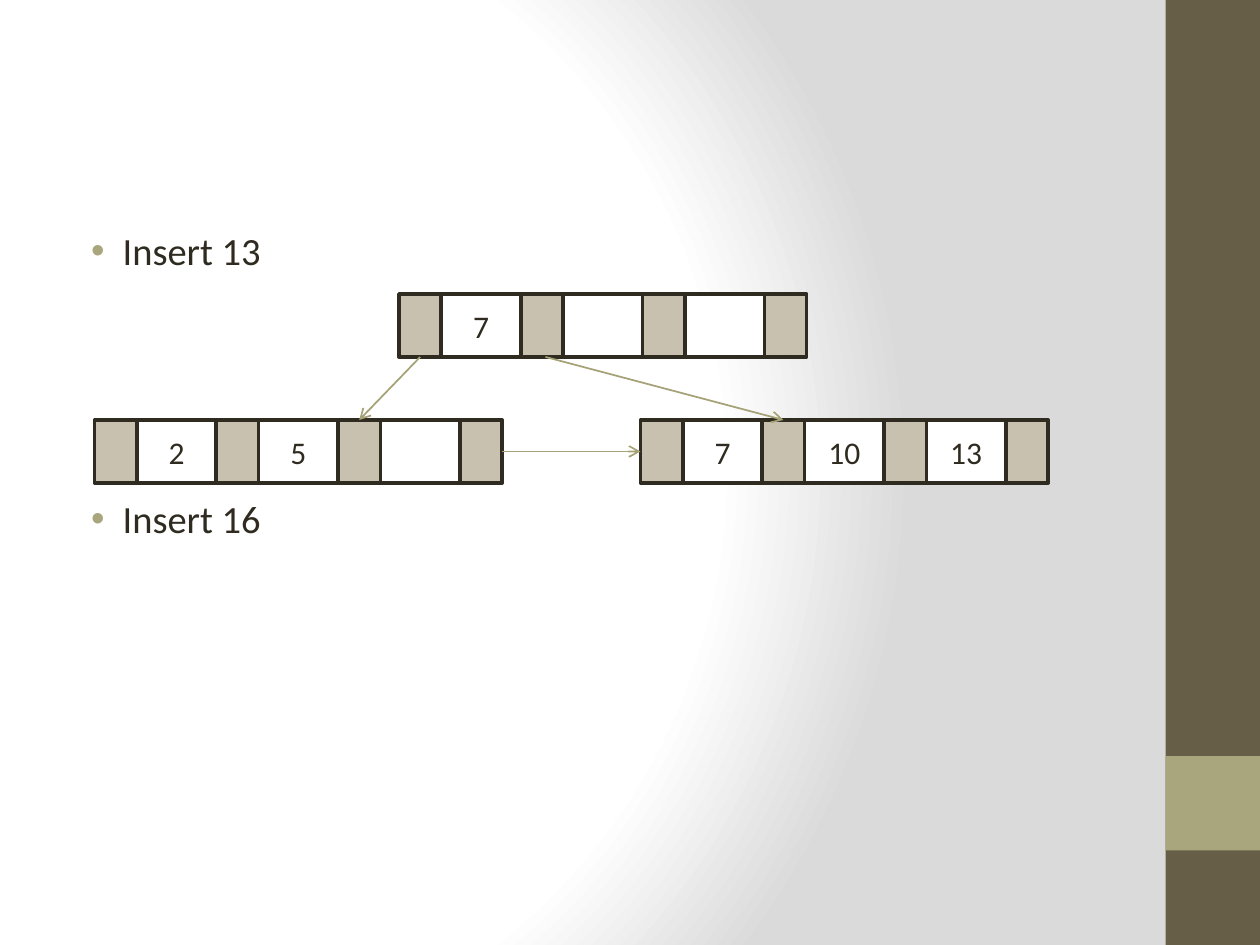
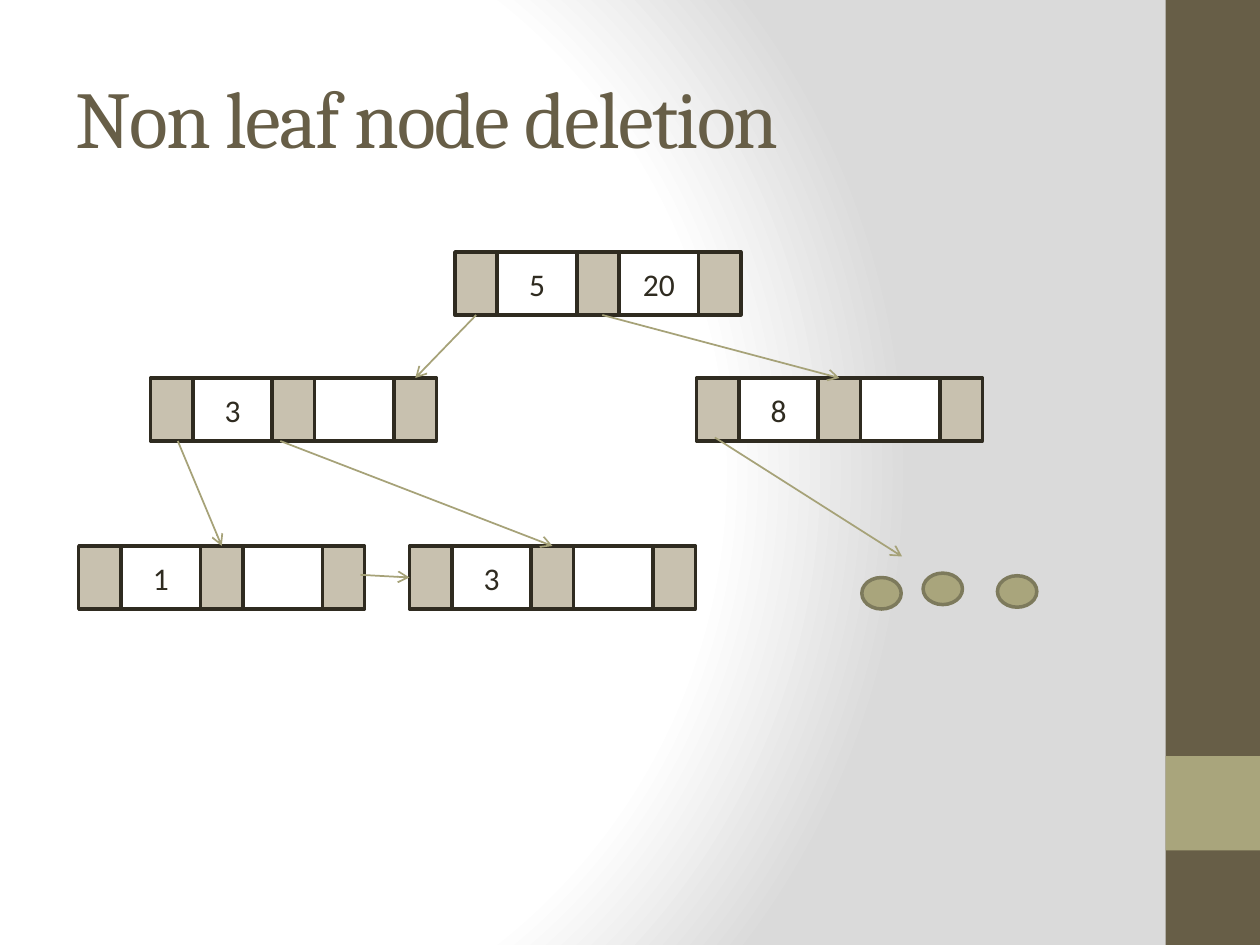
from pptx import Presentation
from pptx.dml.color import RGBColor
from pptx.enum.shapes import MSO_CONNECTOR, MSO_SHAPE
from pptx.enum.text import MSO_ANCHOR, PP_ALIGN
from pptx.oxml import parse_xml
from pptx.oxml.ns import nsdecls
from pptx.util import Pt

INK, OLIVE, SAGE, SAND = "2F2B20", "675E47", "A9A57C", "C8C1AF"
ARROW, DOT_EDGE, WHITE, GREY = "A6A278", "7D7A5C", "FFFFFF", "DADADA"

POINTER_W, KEY_W, NODE_H = 24.2, 45.4, 36
PITCH = POINTER_W + KEY_W

KEY_FONT = {"name": "Calibri", "size": Pt(18)}
BODY_FONT = {"name": "Calibri", "size": Pt(22)}
TITLE_FONT = {"name": "Cambria", "size": Pt(46)}


def rgb(color):
    return RGBColor.from_string(color)


def apply(obj, values):
    for name, value in values.items():
        setattr(obj, name, value)


def a_xml(tag, attrs="", body=""):
    """Build one element in the drawing namespace."""
    return parse_xml(f"<a:{tag} {nsdecls('a')} {attrs}>{body}</a:{tag}>")


class Deck:
    """Holds the presentation, its style and the slide being filled."""

    def __init__(self):
        self.prs = Presentation()
        self.prs.slide_width, self.prs.slide_height = Pt(720), Pt(540)
        self.s = None

    def slide(self):
        self.s = self.prs.slides.add_slide(self.prs.slide_layouts[6])
        self.background()
        self.shape(666, 0, 54, 540, OLIVE)
        self.shape(666, 432, 54, 54, SAGE)

    def background(self):
        stops = "".join(
            f'<a:gs pos="{pos * 1000}"><a:srgbClr val="{color}"/></a:gs>'
            for pos, color in ((0, WHITE), (75, WHITE), (100, GREY)))
        grad = a_xml("gradFill", 'rotWithShape="1"',
                     f'<a:gsLst>{stops}</a:gsLst><a:path path="circle">'
                     '<a:fillToRect l="20000" t="50000" r="100000" b="50000"/></a:path>')
        self.s.background.fill.solid()
        solid = self.s.element.xpath("p:cSld/p:bg/p:bgPr/a:solidFill")[0]
        solid.getparent().replace(solid, grad)

    def shape(self, x, y, w, h, fill, edge=None, kind=MSO_SHAPE.RECTANGLE):
        sp = self.s.shapes.add_shape(kind, Pt(x), Pt(y), Pt(w), Pt(h))
        sp.shadow.inherit = False
        sp.fill.solid()
        sp.fill.fore_color.rgb = rgb(fill)
        if edge:
            sp.line.color.rgb = rgb(edge)
            sp.line.width = Pt(2)
        else:
            sp.line.fill.background()
        return sp

    def run(self, p, text, font, color):
        r = p.add_run()
        r.text = text
        apply(r.font, font)
        r.font.color.rgb = rgb(color)
        return r

    def text_box(self, x, y, w, h, anchor):
        tf = self.s.shapes.add_textbox(Pt(x), Pt(y), Pt(w), Pt(h)).text_frame
        apply(tf, {"word_wrap": True, "vertical_anchor": anchor})
        return tf

    def title(self, text):
        tf = self.text_box(36, 21.6, 600, 90, MSO_ANCHOR.MIDDLE)
        r = self.run(tf.paragraphs[0], text, TITLE_FONT, OLIVE)
        r._r.get_or_add_rPr().set("spc", "-100")

    def bullets(self, items, gap):
        tf = self.text_box(36, 126, 600, 378, MSO_ANCHOR.TOP)
        for i, text in enumerate(items):
            p = tf.add_paragraph() if i else tf.paragraphs[0]
            pPr = p._p.get_or_add_pPr()
            pPr.set("marL", str(Pt(27)))
            pPr.set("indent", str(Pt(-18)))
            pPr.append(a_xml("buClr", body=f'<a:srgbClr val="{SAGE}"/>'))
            pPr.append(a_xml("buFont", 'typeface="Arial"'))
            pPr.append(a_xml("buChar", 'char="•"'))
            p.space_before = Pt(gap if i else 0)
            self.run(p, text, BODY_FONT, INK)

    def node(self, x, y, *keys):
        """Draw pointer and key cells in turn; return the node's corner."""
        for i, key in enumerate(keys):
            left = x + i * PITCH
            self.shape(left, y, POINTER_W, NODE_H, SAND, INK)
            sp = self.shape(left + POINTER_W, y, KEY_W, NODE_H, WHITE, INK)
            if key:
                tf = sp.text_frame
                tf.vertical_anchor = MSO_ANCHOR.MIDDLE
                p = tf.paragraphs[0]
                p.alignment = PP_ALIGN.CENTER
                self.run(p, key, KEY_FONT, INK)
        self.shape(x + len(keys) * PITCH, y, POINTER_W, NODE_H, SAND, INK)
        return x, y

    def arrow(self, x1, y1, x2, y2):
        cn = self.s.shapes.add_connector(
            MSO_CONNECTOR.STRAIGHT, Pt(x1), Pt(y1), Pt(x2), Pt(y2))
        cn.line.color.rgb = rgb(ARROW)
        cn.line.width = Pt(1)
        cn._element.spPr.find(a_xml("ln").tag).append(a_xml("tailEnd", 'type="arrow"'))
        cn._element.spPr.append(a_xml("effectLst"))

    def link(self, parent, i, child, j, dx=0):
        """Join pointer i of parent to pointer j of child, its start moved by dx."""
        (px, py), (cx, cy) = parent, child
        mid = POINTER_W / 2
        self.arrow(px + i * PITCH + mid + dx, py + NODE_H, cx + j * PITCH + mid, cy)

    def dot(self, x, y):
        self.shape(x, y, 22.5, 18, SAGE, DOT_EDGE, MSO_SHAPE.FLOWCHART_CONNECTOR)


def insertion(deck):
    deck.slide()
    deck.bullets(["Insert 13", "Insert 16"], 126.8)
    left = deck.node(54, 240, "2", "5", "")
    right = deck.node(366, 240, "7", "10", "13")
    root = deck.node(228, 168, "7", "", "")
    deck.link(root, 0, left, 2)
    deck.link(root, 1, right, 1, 2)
    deck.arrow(287, 258, 366, 258)


def deletion(deck):
    deck.slide()
    deck.title("Non leaf node deletion")
    left = deck.node(86, 216, "3", "")
    right = deck.node(398, 216, "8", "")
    root = deck.node(260, 144, "5", "20")
    leaf_3 = deck.node(234, 312, "3", "")
    leaf_1 = deck.node(45, 312, "1", "")
    deck.link(root, 0, left, 2)
    deck.link(root, 1, right, 1, 2.5)
    deck.link(left, 0, leaf_1, 1, 3.5)
    deck.link(left, 1, leaf_3, 1, -7.5)
    deck.arrow(206, 328.5, 234, 330)
    deck.arrow(408.5, 250, 515.5, 318)
    for x, y in ((492.5, 330), (527.5, 327.5), (570, 329)):
        deck.dot(x, y)


def main():
    deck = Deck()
    insertion(deck)
    deletion(deck)
    deck.prs.save("out.pptx")


if __name__ == "__main__":
    main()
